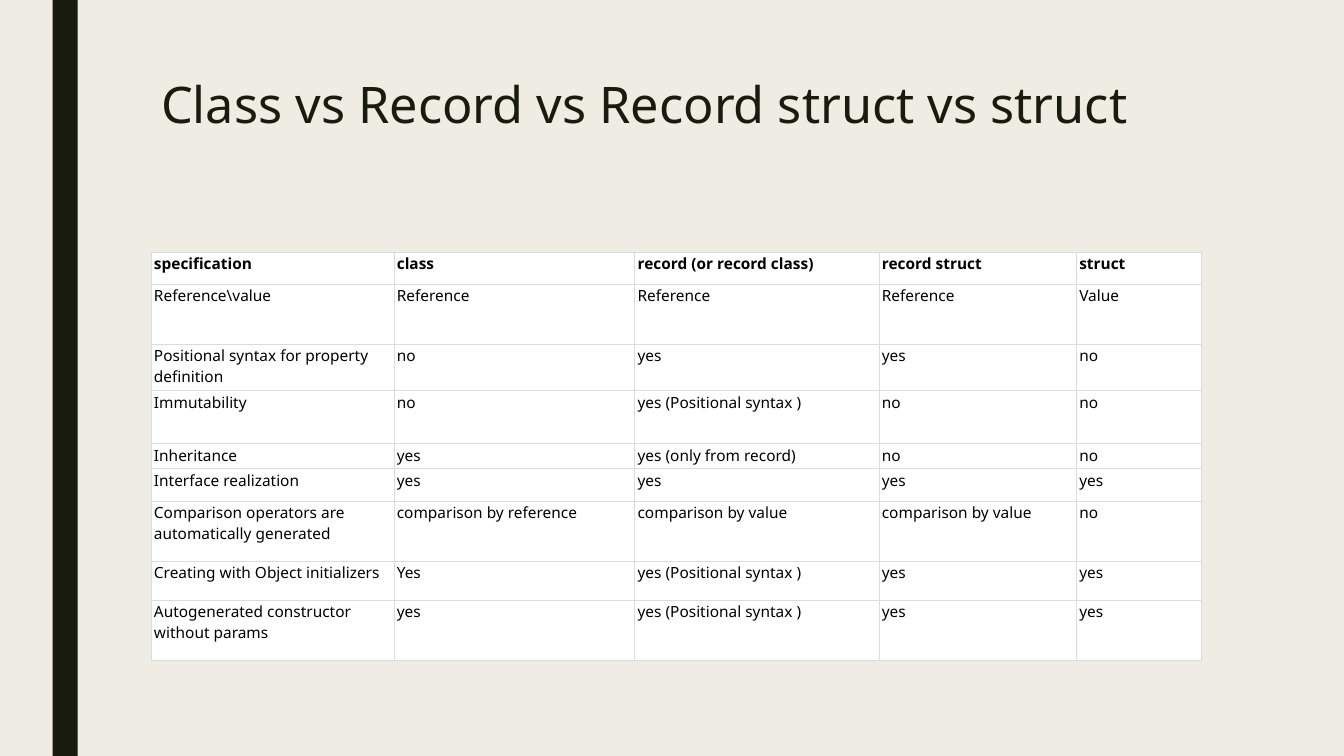
"""Build a slide that compares class, record, record struct and struct in a table."""
from lxml.etree import SubElement
from pptx import Presentation
from pptx.dml.color import RGBColor
from pptx.enum.shapes import MSO_SHAPE
from pptx.oxml.ns import qn
from pptx.util import Pt

TITLE = "Class vs Record vs Record struct vs struct"
HEADER = ("specification", "\u0441lass", "record (or record class)", "record struct", "struct")
POSITIONAL = "yes (Positional syntax )"
ROWS = [
    (23, HEADER),
    (43, ("Reference\\value", "Reference", "Reference", "Reference", "Value")),
    (33, ("Positional syntax for property definition", "no", "yes", "yes", "no")),
    (38, ("Immutability", "no", POSITIONAL, "no", "no")),
    (18, ("Inheritance", "yes", "yes (only from\u00a0record)", "no", "no")),
    (23, ("Interface realization", "yes", "yes", "yes", "yes")),
    (43, ("Comparison operators are automatically generated", "comparison by reference",
          "comparison by value", "comparison by value", "no")),
    (28, ("Creating with Object initializers", "Yes", POSITIONAL, "yes", "yes")),
    (43, ("Autogenerated constructor without params", "yes", POSITIONAL, "yes", "yes")),
]
COLUMN_WIDTHS = (173.5, 172, 174.5, 141, 89.5)
COLORS = {"background": "EFEDE3", "dark": "191B0E", "text": "000000",
          "cell": "FFFFFF", "border": "D5DDDF"}
FONT = "Noto Sans"
SLIDE_WIDTH, SLIDE_HEIGHT = 960, 540
CONTENT_LEFT = 108


def color(name):
    return RGBColor.from_string(COLORS[name])


def paint(fill, name):
    fill.solid()
    fill.fore_color.rgb = color(name)


def write(text_frame, text, size=11, bold=False, ink="text", line_spacing=None):
    paragraph = text_frame.paragraphs[0]
    paragraph.line_spacing = line_spacing
    run = paragraph.add_run()
    run.text = text
    run.font.name = FONT
    run.font.size = Pt(size)
    run.font.bold = bold
    run.font.color.rgb = color(ink)


def add_borders(cell):
    properties = cell._tc.get_or_add_tcPr()
    for position, side in enumerate(("a:lnL", "a:lnR", "a:lnT", "a:lnB")):
        line = properties.makeelement(qn(side), {"w": str(Pt(0.75))})
        fill = SubElement(line, qn("a:solidFill"))
        SubElement(fill, qn("a:srgbClr"), val=COLORS["border"])
        properties.insert(position, line)


def format_cell(cell):
    cell.margin_left = cell.margin_right = Pt(2)
    cell.margin_top = Pt(0.75)
    cell.margin_bottom = Pt(1.25)
    paint(cell.fill, "cell")
    add_borders(cell)


presentation = Presentation()
presentation.slide_width = Pt(SLIDE_WIDTH)
presentation.slide_height = Pt(SLIDE_HEIGHT)
slide = presentation.slides.add_slide(presentation.slide_layouts[6])
paint(slide.background.fill, "background")

side_bar = slide.shapes.add_shape(MSO_SHAPE.RECTANGLE, Pt(37.5), 0, Pt(18), Pt(SLIDE_HEIGHT))
side_bar.shadow.inherit = False
side_bar.line.fill.background()
paint(side_bar.fill, "dark")

title = slide.shapes.add_textbox(Pt(CONTENT_LEFT), Pt(54), Pt(756), Pt(117))
title.text_frame.word_wrap = True
write(title.text_frame, TITLE, size=36, ink="dark", line_spacing=0.89)

table = slide.shapes.add_table(
    len(ROWS), len(HEADER), Pt(CONTENT_LEFT), Pt(180),
    Pt(sum(COLUMN_WIDTHS)), Pt(sum(height for height, _ in ROWS))).table
for column, width in zip(table.columns, COLUMN_WIDTHS):
    column.width = Pt(width)
for row_index, (height, texts) in enumerate(ROWS):
    row = table.rows[row_index]
    row.height = Pt(height)
    for cell, text in zip(row.cells, texts):
        format_cell(cell)
        write(cell.text_frame, text, bold=row_index == 0)

presentation.save("out.pptx")
